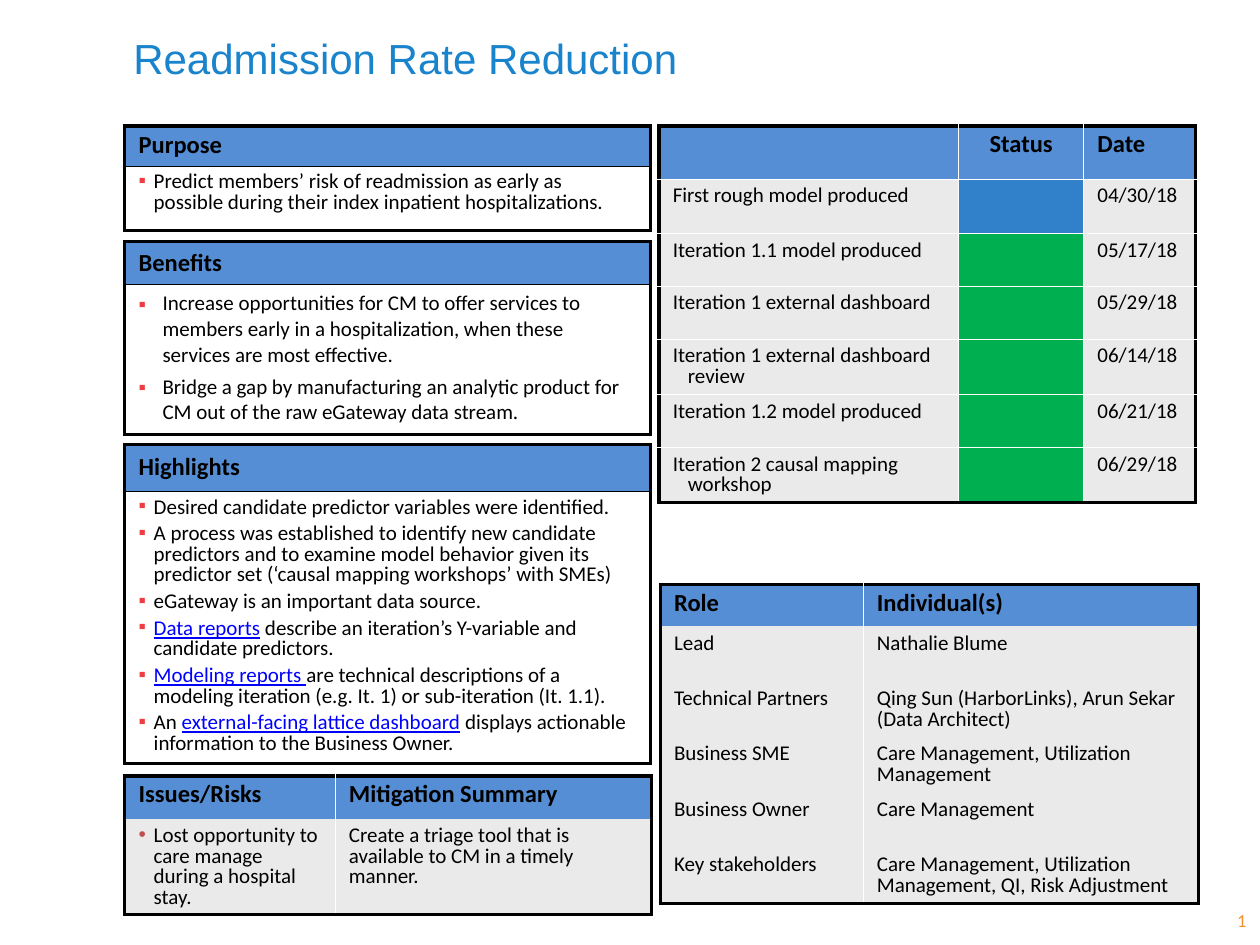
from lxml.etree import SubElement
from pptx import Presentation
from pptx.dml.color import RGBColor
from pptx.enum.text import MSO_ANCHOR, PP_ALIGN
from pptx.oxml.ns import qn
from pptx.util import Inches, Pt

COLORS = {
    "title": "1983CB", "number": "F6902D", "header": "558ED5", "body": "EAEAEA",
    "white": "FFFFFF", "black": "000000", "link": "0000FF", "complete": "3081CA",
    "on_track": "00B050", "square": "EF3E42", "dot": "C0504D",
}
WIDTH, HEIGHT = 10, 7.5
LEFT, RIGHT, TOP = 0.99, 5.23, 1.0
PANEL_WIDTH = 4.17

PANELS = [
    {"name": "Purpose", "top": TOP, "rows": [0.32, 0.51], "indent": 0.12, "leading": 0.8,
     "points": [("Predict members’ risk of readmission as early as possible during "
                 "their index inpatient hospitalizations.",)]},
    {"name": "Benefits", "top": 1.92, "rows": [0.34, 1.19], "indent": 0.19, "leading": 1.0,
     "points": [
         ("Increase opportunities for CM to offer services to members early in a "
          "hospitalization, when these services are most effective.",),
         ("Bridge a gap by manufacturing an analytic product for CM out of the raw "
          "eGateway data stream.",)]},
    {"name": "Highlights", "top": 3.53, "rows": [0.37, 2.16], "indent": 0.12, "leading": 0.8,
     "points": [
         ("Desired candidate predictor variables were identified.",),
         ("A process was established to identify new candidate predictors and to examine "
          "model behavior given its predictor set (‘causal mapping workshops’ with SMEs)",),
         ("eGateway is an important data source.",),
         ("", "Data reports", " describe an iteration’s Y-variable and candidate predictors."),
         ("", "Modeling reports ", "are technical descriptions of a modeling iteration "
          "(e.g. It. 1) or sub-iteration (It. 1.1)."),
         ("An ", "external-facing lattice dashboard",
          " displays actionable information to the Business Owner.")]},
]
MILESTONES = [
    ("", "Status", "Date"),
    ("First rough model produced", "complete", "04/30/18"),
    ("Iteration 1.1 model produced", "on_track", "05/17/18"),
    ("Iteration 1 external dashboard", "on_track", "05/29/18"),
    ("Iteration 1 external dashboard review", "on_track", "06/14/18"),
    ("Iteration 1.2 model produced", "on_track", "06/21/18"),
    ("Iteration 2 causal mapping workshop", "on_track", "06/29/18"),
]
RISKS = [
    ("Issues/Risks", "Mitigation Summary"),
    ("Lost opportunity to care manage during a hospital stay.",
     "Create a triage tool that is available to CM in a timely manner."),
]
ROLES = [
    ("Role", "Individual(s)"),
    ("Lead", "Nathalie Blume"),
    ("Technical Partners", "Qing Sun (HarborLinks), Arun Sekar (Data Architect)"),
    ("Business SME", "Care Management, Utilization Management"),
    ("Business Owner", "Care Management"),
    ("Key stakeholders", "Care Management, Utilization Management, QI, Risk Adjustment"),
]


def color(name):
    return RGBColor.from_string(COLORS[name])


def add_span(para, text, size, tone="black", bold=False, font="Calibri"):
    span = para.add_run()
    span.text = text
    span.font.name, span.font.size, span.font.bold = font, Pt(size), bold
    span.font.color.rgb = color(tone)
    return span


def add_label(page, place, text, size, tone, font, align, anchor):
    box = page.shapes.add_textbox(*map(Inches, place))
    box.text_frame.word_wrap = True
    box.text_frame.vertical_anchor = anchor
    para = box.text_frame.paragraphs[0]
    para.alignment = align
    add_span(para, text, size, tone, font=font)


def write_cell(cell, points, header=False, leading=0.8, indent=0, bullet=None, gap=0.3):
    size = 14 if header else 12
    for index, spans in enumerate(points):
        para = cell.text_frame.paragraphs[0] if index == 0 else cell.text_frame.add_paragraph()
        para.line_spacing = leading
        para.space_before = Pt(round(size * gap, 1))
        props = para._p.get_or_add_pPr()
        if indent:
            props.set("marL", str(Inches(indent)))
            props.set("indent", str(-Inches(indent)))
        if bullet:
            symbol, tone = bullet
            tint = SubElement(props, qn("a:buClr"))
            SubElement(tint, qn("a:srgbClr"), val=COLORS[tone])
            SubElement(props, qn("a:buFont"), typeface="Arial")
            SubElement(props, qn("a:buChar"), char=symbol)
        for position, text in enumerate(spans):
            is_link = position % 2 == 1
            if text or len(spans) == 1:
                span = add_span(para, text, size, "link" if is_link else "black", header)
                span.font.underline = is_link


def set_borders(cell, borders):
    props = cell._tc.get_or_add_tcPr()
    for position, (side, (tone, points)) in enumerate(zip("LRTB", borders)):
        line = SubElement(props, qn("a:ln" + side), w=str(Pt(points)))
        if tone:
            fill = SubElement(line, qn("a:solidFill"))
            SubElement(fill, qn("a:srgbClr"), val=COLORS[tone])
        else:
            SubElement(line, qn("a:noFill"))
        props.insert(position, line)


def add_grid(page, left, top, columns, rows, outer, across, inset, body="body"):
    frame = page.shapes.add_table(len(rows), len(columns), Inches(left), Inches(top),
                                  Inches(sum(columns)), Inches(sum(rows)))
    table = frame.table
    table.first_row = table.horz_banding = False
    for column, width in zip(table.columns, columns):
        column.width = Inches(width)
    edge, upright = ("black", outer), ("white", 0.5)
    last_row, last_column = len(rows) - 1, len(columns) - 1
    for r, height in enumerate(rows):
        table.rows[r].height = Inches(height)
        for c in range(len(columns)):
            cell = table.cell(r, c)
            cell.margin_left = cell.margin_right = Inches(0.11)
            cell.margin_top = cell.margin_bottom = Inches(inset)
            cell.fill.solid()
            cell.fill.fore_color.rgb = color("header" if r == 0 else body)
            set_borders(cell, (edge if c == 0 else upright,
                               edge if c == last_column else upright,
                               edge if r == 0 else across,
                               edge if r == last_row else across))
    return table


def add_panel(page, panel):
    table = add_grid(page, LEFT, panel["top"], [PANEL_WIDTH], panel["rows"],
                     2, ("black", 1), 0.05, "white")
    heading, body = table.cell(0, 0), table.cell(1, 0)
    heading.vertical_anchor = MSO_ANCHOR.MIDDLE
    write_cell(heading, [(panel["name"],)], True, panel["leading"], gap=0)
    write_cell(body, panel["points"], False, panel["leading"], panel["indent"],
               ("▪", "square"))


def add_milestones(page):
    rows = [0.31, 0.43] + [0.42] * (len(MILESTONES) - 2)
    table = add_grid(page, RIGHT, TOP, [2.38, 0.99, 0.89], rows, 2.25, ("white", 0.5), 0.06)
    for r, values in enumerate(MILESTONES):
        for c, value in enumerate(values):
            cell = table.cell(r, c)
            if value in COLORS:
                cell.fill.fore_color.rgb = color(value)
                value = ""
            write_cell(cell, [(value,)], r == 0, indent=0.12 if r else 0)
    table.cell(0, 1).text_frame.paragraphs[0].alignment = PP_ALIGN.CENTER


def add_listing(page, left, top, columns, rows, values, bulleted=False):
    table = add_grid(page, left, top, columns, rows, 2.25, (None, 0), 0.06)
    for r, texts in enumerate(values):
        for c, text in enumerate(texts):
            marked = bulleted and r > 0 and c == 0
            write_cell(table.cell(r, c), [(text,)], r == 0, indent=0.12 if marked else 0,
                       bullet=("•", "dot") if marked else None)


def main():
    deck = Presentation()
    deck.slide_width, deck.slide_height = Inches(WIDTH), Inches(HEIGHT)
    page = deck.slides.add_slide(deck.slide_layouts[6])
    add_label(page, (0.96, 0.21, 8.54, 0.71), "Readmission Rate Reduction", 24, "title",
              "Arial", PP_ALIGN.LEFT, MSO_ANCHOR.TOP)
    add_label(page, (9.52, 7.1, 0.47, 0.4), "1", 10.5, "number",
              "Calibri", PP_ALIGN.RIGHT, MSO_ANCHOR.MIDDLE)
    for panel in PANELS:
        add_panel(page, panel)
    add_milestones(page)
    add_listing(page, LEFT, 6.16, [1.67, 2.51], [0.34, 0.75], RISKS, True)
    add_listing(page, RIGHT + 0.01, 4.64, [1.61, 2.66],
                [0.33] + [0.44] * (len(ROLES) - 1), ROLES)
    deck.save("out.pptx")


if __name__ == "__main__":
    main()
